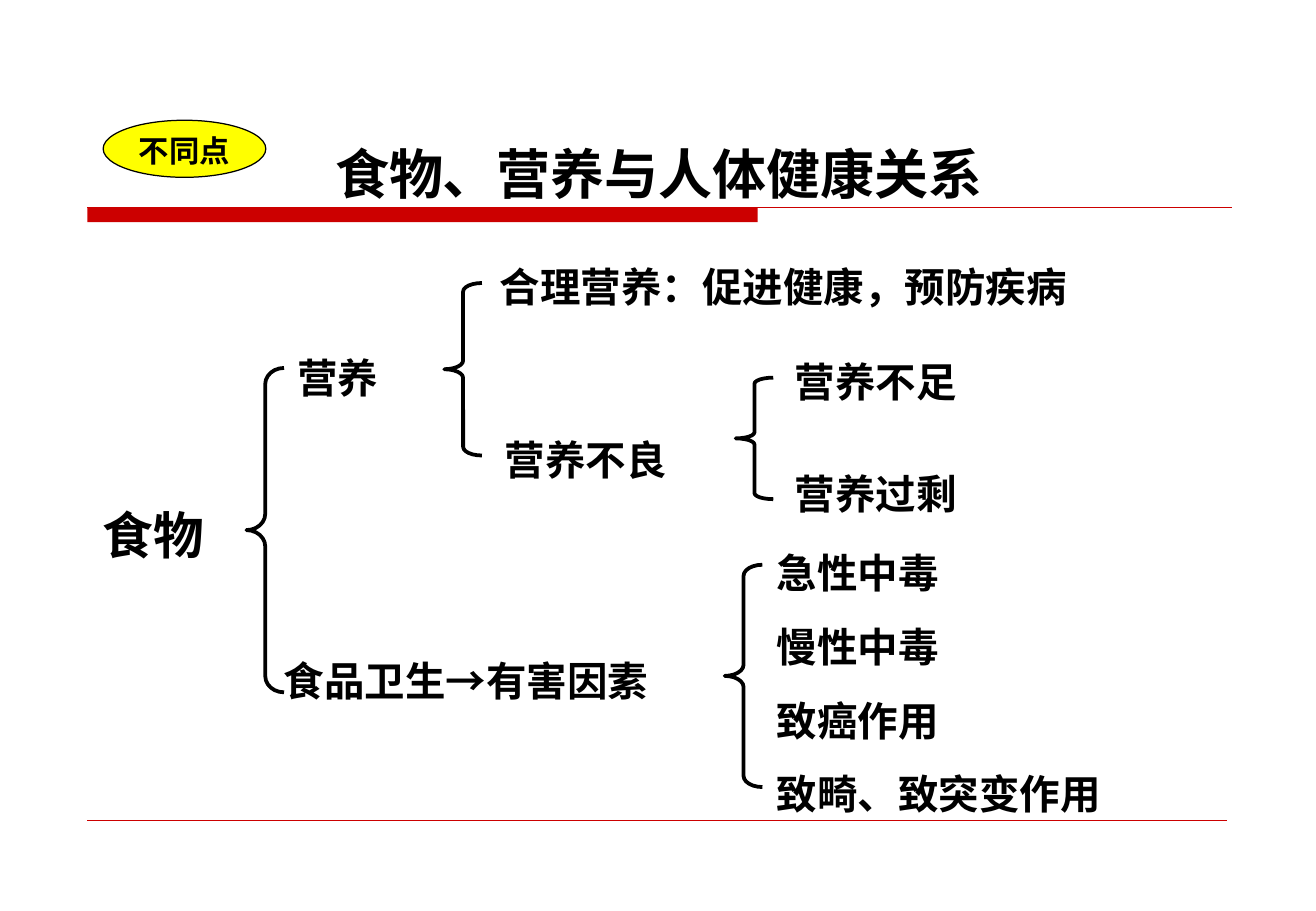
"""Build the slide on food, nutrition and human health."""
import lxml.etree
import pptx
import pptx.dml.color
import pptx.enum.shapes
import pptx.enum.text
import pptx.oxml.ns
import pptx.util

Inches = pptx.util.Inches
Pt = pptx.util.Pt
MSO_SHAPE = pptx.enum.shapes.MSO_SHAPE
MSO_ANCHOR = pptx.enum.text.MSO_ANCHOR
PP_ALIGN = pptx.enum.text.PP_ALIGN
qn = pptx.oxml.ns.qn
CHINESE_FONT = "Noto Sans CJK SC"


def color(value):
    return pptx.dml.color.RGBColor.from_string(value)


def write(shape, text, size, latin_font="DejaVu Sans", align=PP_ALIGN.LEFT, space_before=0):
    frame = shape.text_frame
    frame.text = text
    frame.margin_left = frame.margin_right = Inches(0.1)
    frame.margin_top, frame.margin_bottom = Inches(0.08), Inches(0.05)
    for index, paragraph in enumerate(frame.paragraphs):
        paragraph.alignment = align
        paragraph.line_spacing = Pt(size * 1.2)
        paragraph.space_before = Pt(space_before if index else 0)
        for run in paragraph.runs:
            run.font.size = Pt(size)
            run.font.bold = True
            run.font.name = latin_font
            run.font.color.rgb = color("000000")
            east_asian = lxml.etree.SubElement(run.font._element, qn("a:ea"))
            east_asian.set("typeface", CHINESE_FONT)


presentation = pptx.Presentation()
presentation.slide_width = Inches(10.84)
presentation.slide_height = Inches(7.5)
slide = presentation.slides.add_slide(presentation.slide_layouts[5])
shapes = slide.shapes

title = shapes.title
title.left, title.top = Inches(0.69), Inches(0.36)
title.width, title.height = Inches(9.48), Inches(1.33)
write(title, "食物、营养与人体健康关系", 32, CHINESE_FONT, PP_ALIGN.CENTER)
title.text_frame.vertical_anchor = MSO_ANCHOR.BOTTOM
title.text_frame.margin_bottom = 0

title_bar = shapes.add_shape(
    MSO_SHAPE.RECTANGLE, Inches(0.72), Inches(1.71), Inches(5.52), Inches(0.12))
title_bar.shadow.inherit = False
title_bar.fill.solid()
title_bar.fill.fore_color.rgb = color("CC0000")
title_bar.line.fill.background()

for right, y, weight in [(10.15, 1.71, 0.75), (10.11, 6.75, 0.25)]:
    rule = shapes.add_connector(
        pptx.enum.shapes.MSO_CONNECTOR.STRAIGHT,
        Inches(0.72), Inches(y), Inches(right), Inches(y))
    rule.line.color.rgb = color("CC0000")
    rule.line.width = Pt(weight)
    lxml.etree.SubElement(rule._element.spPr, qn("a:effectLst"))

brace_width = 0.31
for left, top, height in [
    (2.03, 3.03, 2.67),
    (3.66, 2.33, 1.42),
    (6.06, 3.11, 1),
    (5.97, 4.65, 1.83),
]:
    brace = shapes.add_shape(
        MSO_SHAPE.LEFT_BRACE, Inches(left), Inches(top), Inches(brace_width), Inches(height))
    brace.adjustments[0] = 0.05 * height / brace_width
    brace.shadow.inherit = False
    brace.fill.background()
    brace.line.color.rgb = color("000000")
    brace.line.width = Pt(2.25)

harmful_effects = "急性中毒\n慢性中毒\n致癌作用\n致畸、致突变作用"
for text, left, top, width, height, size in [
    ("食物", 0.75, 4.07, 1.2, 0.6, 30),
    ("营养", 2.35, 2.83, 1.85, 0.5, 24),
    ("食品卫生→有害因素", 2.24, 5.32, 3.49, 0.5, 24),
    ("合理营养：促进健康，预防疾病", 4.02, 2.08, 4.94, 0.5, 24),
    ("营养不良", 4.06, 3.5, 1.98, 0.5, 24),
    ("营养不足", 6.45, 2.86, 1.8, 0.5, 24),
    ("营养过剩", 6.45, 3.78, 1.8, 0.5, 24),
    (harmful_effects, 6.3, 4.43, 3.61, 2.33, 24),
]:
    label = shapes.add_textbox(Inches(left), Inches(top), Inches(width), Inches(height))
    label.text_frame.word_wrap = True
    write(label, text, size, space_before=15)

badge = shapes.add_shape(
    MSO_SHAPE.OVAL, Inches(0.85), Inches(0.99), Inches(1.34), Inches(0.47))
badge.shadow.inherit = False
badge.fill.solid()
badge.fill.fore_color.rgb = color("FFFF00")
badge.line.color.rgb = color("000000")
badge.line.width = Pt(0.75)
write(badge, "不同点", 18, align=PP_ALIGN.CENTER)
badge.text_frame.word_wrap = False
badge.text_frame.vertical_anchor = MSO_ANCHOR.MIDDLE

presentation.save("out.pptx")
